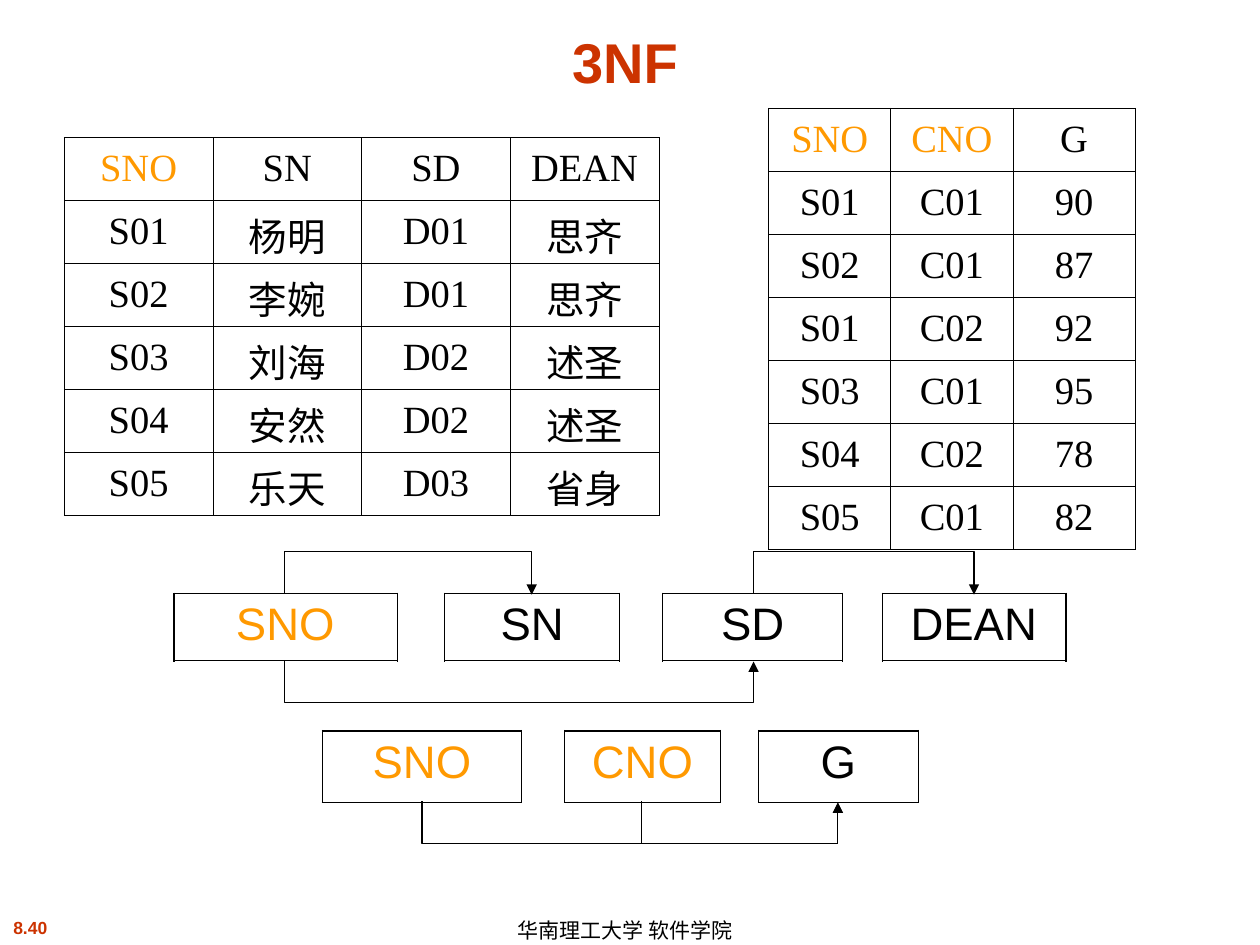
import pptx
import pptx.util
import pptx.dml.color
import pptx.enum.text
import pptx.enum.shapes
import pptx.oxml
import pptx.oxml.ns

Inches = pptx.util.Inches
Pt = pptx.util.Pt
align = pptx.enum.text.PP_ALIGN
anchor = pptx.enum.text.MSO_ANCHOR
qn = pptx.oxml.ns.qn
space = pptx.oxml.ns.nsdecls("a")
red, gold, black = "CC3300", "FF9900", "000000"
plain = "{2D5ABB26-0587-4C30-8999-92F81FD0307C}"


def style(para, name, size, color, bold=False):
    font = para.font
    font.name, font.size, font.bold = name, Pt(size), bold
    font.color.rgb = pptx.dml.color.RGBColor.from_string(color)


def grid(left, top, wides, high, rows, keys, name, size, mid, outer):
    frame = slide.shapes.add_table(len(rows), len(wides), Inches(left), Inches(top),
                                   Inches(sum(wides)), Inches(high * len(rows)))
    frame._element.find(".//" + qn("a:tableStyleId")).text = plain
    table = frame.table
    table.first_row = table.horz_banding = False
    for col, wide in zip(table.columns, wides):
        col.width = Inches(wide)
    last = len(wides) - 1
    for r, row in enumerate(rows):
        table.rows[r].height = Inches(high)
        for c, text in enumerate(row):
            cell = table.cell(r, c)
            if text:
                cell.text = text
                cell.vertical_anchor = mid
                para = cell.text_frame.paragraphs[0]
                para.alignment = align.CENTER
                style(para, name, size, gold if r == 0 and text in keys else black)
                edges = {"L": outer if c == 0 else 0.45, "R": outer if c == last else 0.45,
                         "T": outer, "B": outer}
                for side, width in edges.items():
                    cell._tc.get_or_add_tcPr().append(pptx.oxml.parse_xml(
                        f'<a:ln{side} {space} w="{int(Pt(width))}"><a:solidFill>'
                        f'<a:srgbClr val="{black}"/></a:solidFill></a:ln{side}>'))
            cell.fill.background()


deck = pptx.Presentation()
deck.slide_width, deck.slide_height = Inches(10), Inches(7.5)
slide = deck.slides.add_slide(deck.slide_layouts[5])

title = slide.shapes.title
title.left, title.top, title.width, title.height = map(Inches, (0.25, 0.13, 9.42, 0.67))
title.text_frame.text = "3NF"
title.text_frame.vertical_anchor = anchor.BOTTOM
para = title.text_frame.paragraphs[0]
para.alignment = align.CENTER
style(para, "Arial", 32, red, True)

for text, place, side, mid, size, color, bold, line in (
    ("8.40", (-0.25, 7.23, 0.98, 0.27), align.CENTER, anchor.TOP, 10, red, True, 1),
    ("华南理工大学 软件学院", (4.01, 7.25, 2.24, 0.25), align.LEFT, anchor.MIDDLE, 12, black, False, 1.1),
):
    box = slide.shapes.add_textbox(*map(Inches, place)).text_frame
    box.word_wrap = False
    box.vertical_anchor = mid
    box.text = text
    para = box.paragraphs[0]
    para.alignment, para.line_spacing = side, line
    style(para, "Arial", size, color, bold)

pupils = [
    ("SNO", "SN", "SD", "DEAN"),
    ("S01", "杨明", "D01", "思齐"),
    ("S02", "李婉", "D01", "思齐"),
    ("S03", "刘海", "D02", "述圣"),
    ("S04", "安然", "D02", "述圣"),
    ("S05", "乐天", "D03", "省身"),
]
grades = [
    ("SNO", "CNO", "G"),
    ("S01", "C01", "90"),
    ("S02", "C01", "87"),
    ("S01", "C02", "92"),
    ("S03", "C01", "95"),
    ("S04", "C02", "78"),
    ("S05", "C01", "82"),
]
serif = "Times New Roman"
grid(0.51, 1.09, [1.18] * 4, 0.5, pupils, ["SNO"], serif, 22, anchor.MIDDLE, 0.45)
grid(6.1, 0.86, [0.97] * 3, 0.5, grades, ["SNO", "CNO"], serif, 22, anchor.MIDDLE, 0.45)
grid(1.38, 4.71, [1.77, 0.38, 1.39, 0.34, 1.43, 0.31, 1.46], 0.53,
     [("SNO", "", "SN", "", "SD", "", "DEAN")], ["SNO"], "Arial", 26, anchor.TOP, 1.08)
grid(2.56, 5.8, [1.58, 0.34, 1.24, 0.3, 1.27], 0.57,
     [("SNO", "", "CNO", "", "G")], ["SNO", "CNO"], "Arial", 26, anchor.TOP, 1.08)

thin, reach = 0.01, 0.34
for start, end, level, way in (
    (2.26, 4.22, 4.71, -1),
    (5.98, 7.73, 4.71, -1),
    (3.35, 6.65, 6.36, 1),
    (5.09, 6.65, 6.36, 1),
    (2.26, 5.98, 5.24, 1),
):
    left, top = (start + end - thin) / 2, level + (thin - end + start) / 2
    arrow = slide.shapes.add_connector(
        pptx.enum.shapes.MSO_CONNECTOR.ELBOW, Inches(left), Inches(top),
        Inches(left + thin), Inches(top + end - start))
    arrow.line.width = Pt(0.75)
    arrow.line.color.rgb = pptx.dml.color.RGBColor.from_string(black)
    props = arrow._element.spPr
    turn = props.find(qn("a:xfrm"))
    turn.set("rot", "16200000")
    turn.set("flipH", "1")
    bend = round(way * reach / thin * 100000)
    props.find(qn("a:prstGeom")).get_or_add_avLst().append(pptx.oxml.parse_xml(
        f'<a:gd {space} name="adj1" fmla="val {bend}"/>'))
    props.find(qn("a:ln")).append(pptx.oxml.parse_xml(f'<a:tailEnd {space} type="triangle"/>'))
    props.append(pptx.oxml.parse_xml(f"<a:effectLst {space}/>"))

deck.save("out.pptx")
